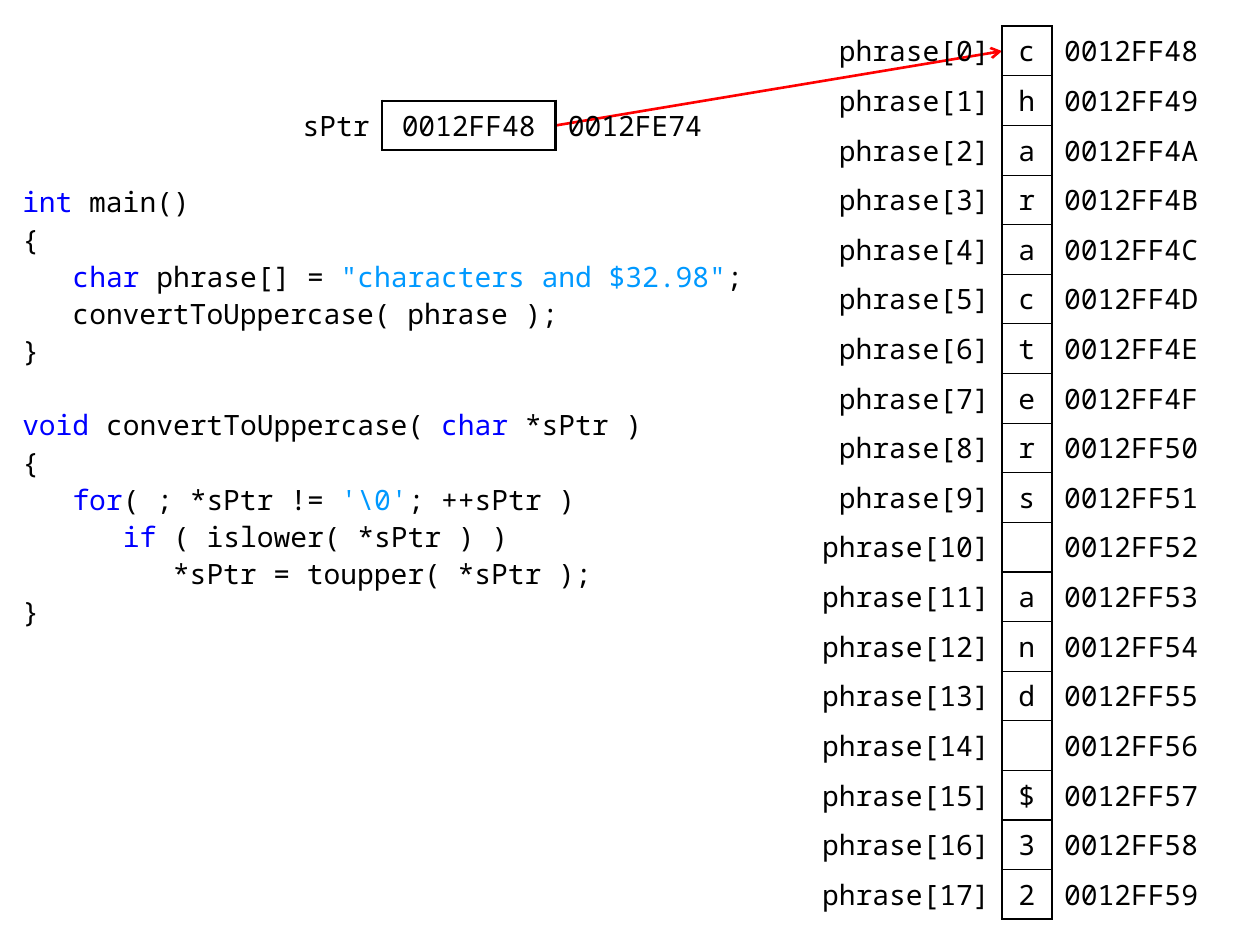
from lxml import etree
from pptx import Presentation, util as u
from pptx.dml.color import RGBColor
from pptx.enum import shapes, text
from pptx.oxml import ns

COLOURS = {"plain": "000000", "keyword": "0000FF", "literal": "0099FF",
           "arrow": "FF0000", "cell": "FFFFFF"}
NO_TABLE_STYLE = "{2D5ABB26-0587-4C30-8999-92F81FD0307C}"
ALIGNMENTS = (text.PP_ALIGN.RIGHT, text.PP_ALIGN.CENTER, text.PP_ALIGN.LEFT)
THICK, THIN = 1.5, 0.75
FIRST_ADDRESS = 0x0012FF48
PHRASE = "characters and $32"

# Each line of code is a list of (text, colour name) pieces.
MAIN = [
    [("int", "keyword"), (" main()", "plain")],
    [("{", "plain")],
    [("   char", "keyword"), (" phrase[] = ", "plain"),
     ('"characters and $32.98"', "literal"), (";", "plain")],
    [("   convertToUppercase( phrase );", "plain")],
    [("}", "plain")],
]
CONVERT = [
    [("void ", "keyword"), ("convertToUppercase( ", "plain"),
     ("char", "keyword"), (" *sPtr )", "plain")],
    [("{", "plain")],
    [("   ", "plain"), ("for", "keyword"), ("( ; *sPtr != ", "plain"),
     ("'\\0'", "literal"), ("; ++sPtr )", "plain")],
    [("      ", "plain"), ("if", "keyword"), (" ( islower( *sPtr ) )", "plain")],
    [("         *sPtr = toupper( *sPtr );", "plain")],
    [("}", "plain")],
]


def rgb(name):
    return RGBColor.from_string(COLOURS[name])


def address(offset):
    return f"{FIRST_ADDRESS + offset:08X}"


class MemorySlide:
    font_name = "Noto Sans Mono"
    font_size = u.Pt(16)
    line_height = 19.25
    line_gap = 2

    def __init__(self, slide):
        self.slide = slide

    def style_run(self, run, colour="plain"):
        run.font.name = self.font_name
        run.font.size = self.font_size
        run.font.color.rgb = rgb(colour)

    def code(self, left, top, width, height, functions):
        """Write functions one below the other, one line's height apart."""
        box = self.slide.shapes.add_textbox(
            u.Cm(left), u.Cm(top), u.Cm(width), u.Cm(height))
        frame = box.text_frame
        frame.word_wrap = True
        paragraph = None
        for lines in functions:
            for number, pieces in enumerate(lines):
                if paragraph is None:
                    paragraph = frame.paragraphs[0]
                else:
                    paragraph = frame.add_paragraph()
                    gap = self.line_gap
                    if number == 0:
                        gap += self.line_height + self.line_gap
                    paragraph.space_before = u.Pt(gap)
                paragraph.line_spacing = u.Pt(self.line_height)
                for piece, colour in pieces:
                    run = paragraph.add_run()
                    run.text = piece
                    self.style_run(run, colour)

    def arrow(self, start, end):
        connector = self.slide.shapes.add_connector(
            shapes.MSO_CONNECTOR.STRAIGHT, *(u.Cm(value) for value in start + end))
        connector.line.color.rgb = rgb("arrow")
        connector.line.width = u.Pt(1.5)
        line = connector.line._get_or_add_ln()
        etree.SubElement(line, ns.qn("a:tailEnd"), type="arrow")
        etree.SubElement(connector._element.spPr, ns.qn("a:effectLst"))

    def borders(self, cell, widths):
        """Draw the sides named in widths (L, R, T, B); leave the others bare."""
        properties = cell._tc.get_or_add_tcPr()
        for side in "LRTB":
            line = etree.SubElement(properties, ns.qn(f"a:ln{side}"))
            if side in widths:
                line.set("w", str(u.Pt(widths[side])))
                fill = etree.SubElement(line, ns.qn("a:solidFill"))
                etree.SubElement(fill, ns.qn("a:srgbClr"), val=COLOURS["plain"])
            else:
                etree.SubElement(line, ns.qn("a:noFill"))

    def memory(self, left, top, widths, rows, filled):
        """Table of name, boxed value and address, in rows 1 cm high."""
        table = self.slide.shapes.add_table(
            len(rows), len(widths), u.Cm(left), u.Cm(top),
            u.Cm(sum(widths)), u.Cm(len(rows))).table
        table.first_row = table.horz_banding = False
        table._tbl.tblPr.find(ns.qn("a:tableStyleId")).text = NO_TABLE_STYLE
        for column, width in zip(table.columns, widths):
            column.width = u.Cm(width)
        last = len(rows) - 1
        for row_number, values in enumerate(rows):
            table.rows[row_number].height = u.Cm(1)
            box = {"L": THICK, "R": THICK,
                   "T": THIN if row_number else THICK,
                   "B": THIN if row_number < last else THICK}
            sides = ({"R": THICK}, box, {"L": THICK})
            for column_number, value in enumerate(values):
                cell = table.cell(row_number, column_number)
                self.borders(cell, sides[column_number])
                if filled and column_number:
                    cell.fill.solid()
                    cell.fill.fore_color.rgb = rgb("cell")
                else:
                    cell.fill.background()
                cell.vertical_anchor = text.MSO_ANCHOR.MIDDLE
                cell.margin_left = cell.margin_right = u.Cm(0.25)
                cell.margin_top = cell.margin_bottom = u.Cm(0.1)
                paragraph = cell.text_frame.paragraphs[0]
                paragraph.text = value
                paragraph.alignment = ALIGNMENTS[column_number]
                for run in paragraph.runs:
                    self.style_run(run)


def main():
    presentation = Presentation()
    presentation.slide_width, presentation.slide_height = u.Cm(25.4), u.Cm(19.05)
    slide = presentation.slides.add_slide(presentation.slide_layouts[6])
    memory_slide = MemorySlide(slide)

    memory_slide.code(0.2, 3.6, 15.5, 13, [MAIN, CONVERT])
    memory_slide.arrow((11.2, 2.53), (20.2, 1.03))
    phrase_rows = [(f"phrase[{index}]", letter.strip(), address(index))
                   for index, letter in enumerate(PHRASE)]
    memory_slide.memory(16.2, 0.53, (4, 1, 3.5), phrase_rows, filled=True)
    memory_slide.memory(5.7, 2.03, (2, 3.5, 3.5),
                        [("sPtr", address(0), "0012FE74")], filled=False)
    presentation.save("out.pptx")


if __name__ == "__main__":
    main()
